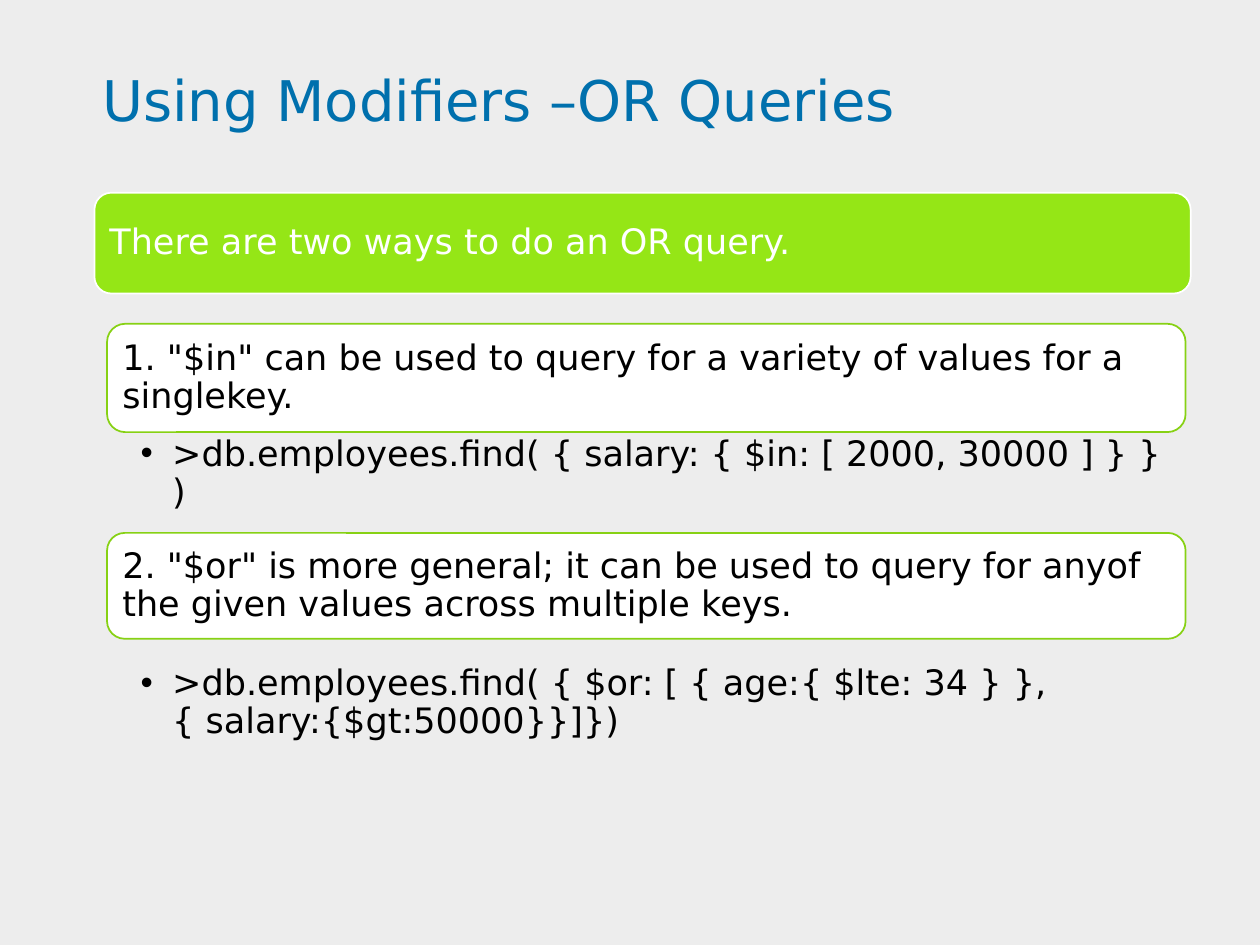
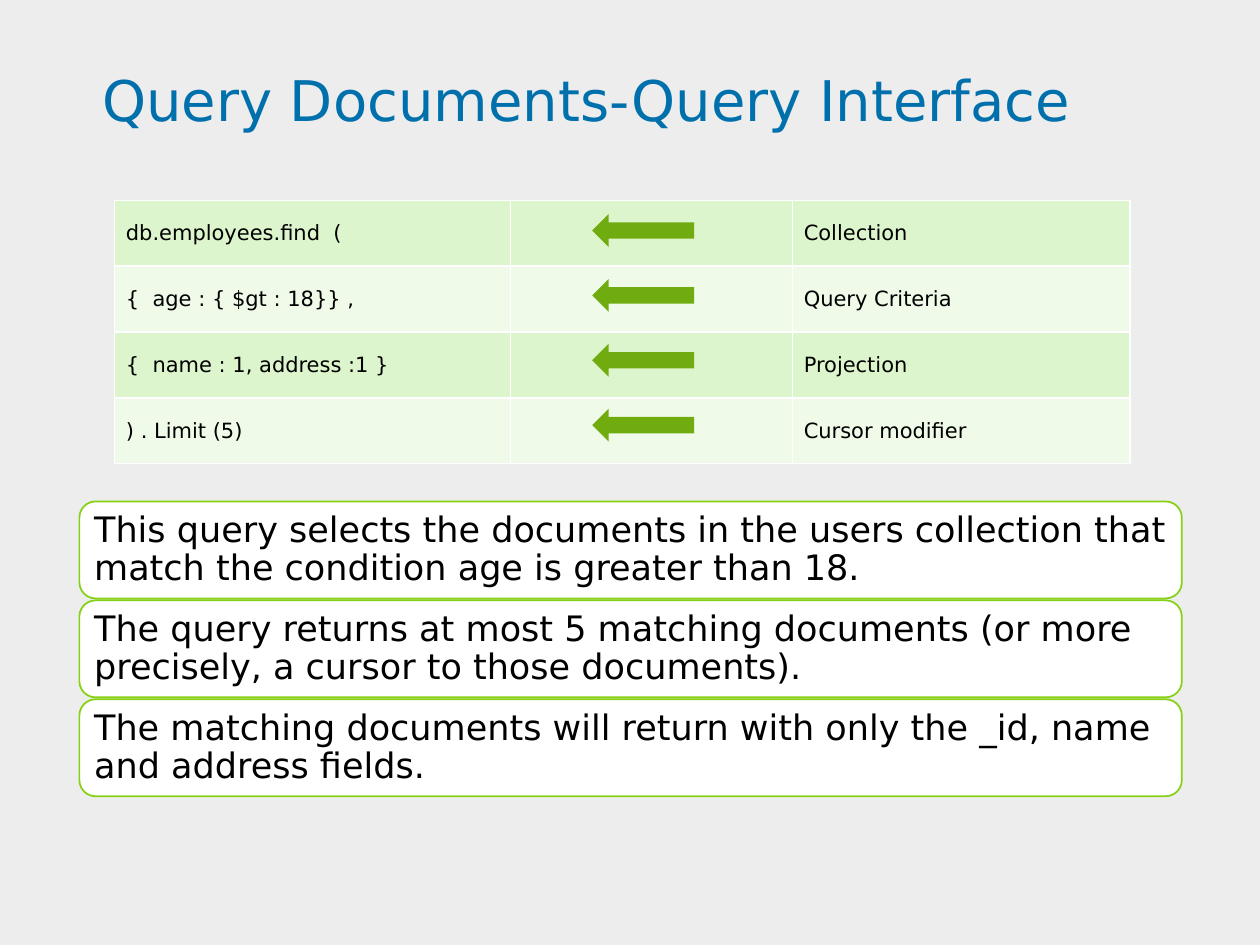
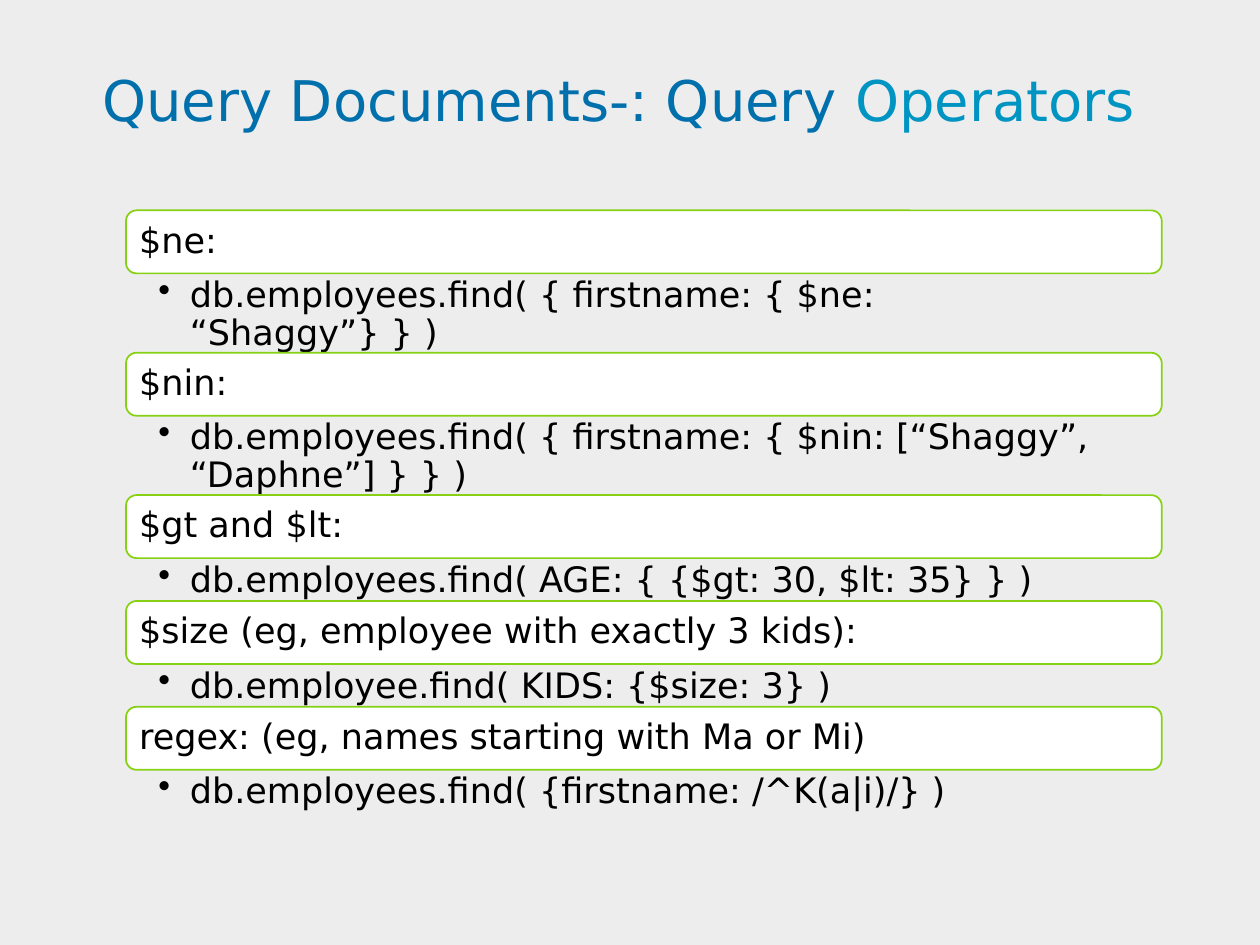
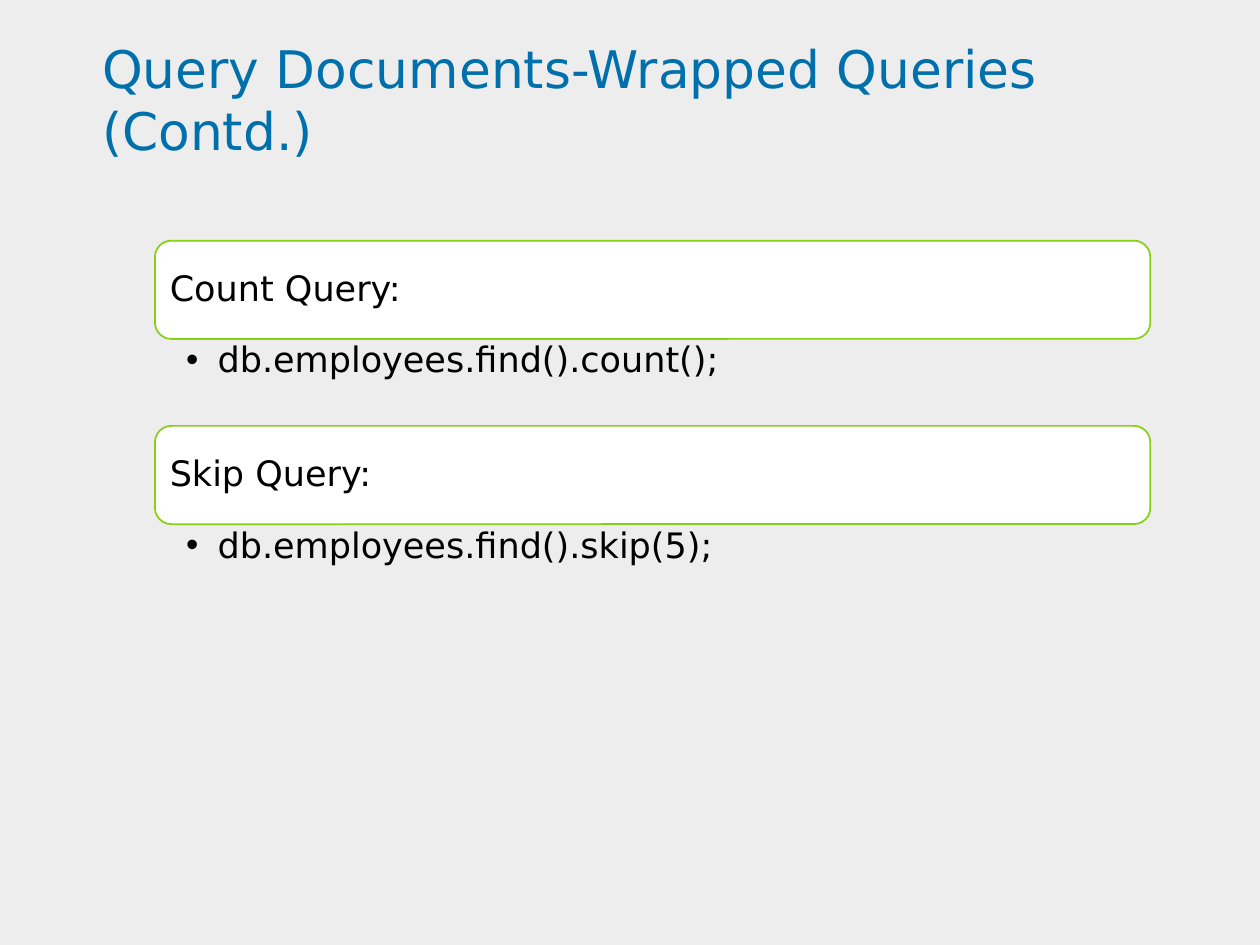
from dataclasses import dataclass

from lxml import etree
from pptx import Presentation
from pptx import util as u
from pptx.dml.color import RGBColor
from pptx.enum import shapes, text
from pptx.oxml import ns

SLIDE_WIDTH, SLIDE_HEIGHT = u.Inches(10), u.Inches(7.5)
COLUMNS, ROWS = 100, 75
TITLE_ONLY, TWO_CONTENT = 5, 3


@dataclass(frozen=True)
class Theme:
    font: str = "DejaVu Sans"
    background: str = "EDEDED"
    title: str = "0070AD"
    title_accent: str = "0094C3"
    ink: str = "000000"
    white: str = "FFFFFF"
    banner: str = "95E616"
    outline: str = "87D114"
    arrow: str = "70AC10"
    bands: tuple = ("DDF5CC", "EFFAE8")
    title_size: float = 32
    small_title_size: float = 29.6
    body_size: float = 20
    table_size: float = 12
    line_width: float = 1
    line_spacing: float = 0.9
    bullet_indent: float = 0.25
    list_inset: float = 0.03


THEME = Theme()


@dataclass(frozen=True)
class Box:
    column: float
    row: float
    width: float
    height: float

    def inner(self, column, row, width, height):
        return Box(self.column + column, self.row + row, width, height)

    def placement(self):
        return {
            "left": round(self.column * SLIDE_WIDTH / COLUMNS),
            "top": round(self.row * SLIDE_HEIGHT / ROWS),
            "width": round(self.width * SLIDE_WIDTH / COLUMNS),
            "height": round(self.height * SLIDE_HEIGHT / ROWS),
        }


TITLE_BOX = Box(5.1, 2.9, 90, 9.9)


def apply(target, values):
    for name, value in values.items():
        setattr(target, name, value)


def paint(fill, color):
    fill.solid()
    fill.fore_color.rgb = RGBColor.from_string(color)


def format_frame(frame, margins, anchor):
    sides = ("margin_left", "margin_top", "margin_right", "margin_bottom")
    apply(frame, dict(zip(sides, map(u.Inches, margins))))
    apply(frame, {
        "word_wrap": True,
        "auto_size": text.MSO_AUTO_SIZE.NONE,
        "vertical_anchor": anchor,
    })


def format_run(run, size, color):
    apply(run.font, {"name": THEME.font, "size": u.Pt(size)})
    run.font.color.rgb = RGBColor.from_string(color)


def write(paragraph, words, size, color, spacing=THEME.line_spacing):
    paragraph.text = words
    apply(paragraph, {
        "alignment": text.PP_ALIGN.LEFT,
        "line_spacing": spacing,
        "space_before": u.Pt(0),
    })
    for run in paragraph.runs:
        format_run(run, size, color)


def add_titled_slide(presentation, layout, title, accent="", size=THEME.title_size):
    slide = presentation.slides.add_slide(presentation.slide_layouts[layout])
    shape = slide.shapes.title
    apply(shape, TITLE_BOX.placement())
    format_frame(shape.text_frame, (0.3, 0.03, 0.17, 0.03), text.MSO_ANCHOR.MIDDLE)
    paragraph = shape.text_frame.paragraphs[0]
    write(paragraph, title, size, THEME.title, 1.0)
    if accent:
        run = paragraph.add_run()
        run.text = accent
        format_run(run, size, THEME.title_accent)
    return slide


def add_preset(slide, kind, box, color):
    shape = slide.shapes.add_shape(kind, **box.placement())
    shape.shadow.inherit = False
    paint(shape.fill, color)
    shape.line.fill.background()
    return shape


def add_card(slide, box, words, fill=THEME.white, outline=THEME.outline, ink=THEME.ink):
    card = add_preset(slide, shapes.MSO_SHAPE.ROUNDED_RECTANGLE, box, fill)
    paint(card.line.fill, outline)
    card.line.width = u.Pt(THEME.line_width)
    format_frame(card.text_frame, (0.08,) * 4, text.MSO_ANCHOR.MIDDLE)
    write(card.text_frame.paragraphs[0], words, THEME.body_size, ink)


def add_bullet(paragraph):
    properties = paragraph._p.get_or_add_pPr()
    indent = u.Inches(THEME.bullet_indent)
    properties.set("marL", str(indent))
    properties.set("indent", str(-indent))
    etree.SubElement(properties, ns.qn("a:buChar")).set("char", "•")


def add_query(slide, box, query, bodies):
    shape = next(bodies, None) or slide.shapes.add_textbox(0, 0, 0, 0)
    placement = box.placement()
    apply(shape, placement)
    inset = u.Emu(placement["width"]).inches * THEME.list_inset + 0.01
    format_frame(shape.text_frame, (inset, 0.03, 0.16, 0.03), text.MSO_ANCHOR.TOP)
    paragraph = shape.text_frame.paragraphs[0]
    paragraph.level = 1
    add_bullet(paragraph)
    write(paragraph, query, THEME.body_size, THEME.ink)


def add_section(slide, box, heading, query, card_height, bodies, gap=0):
    add_card(slide, box.inner(0, 0, box.width, card_height), heading)
    list_row = card_height + gap
    list_box = box.inner(0, list_row, box.width, box.height - list_row)
    add_query(slide, list_box, query, bodies)


def list_placeholders(slide):
    return iter(list(slide.placeholders)[1:])


def add_cell_borders(cell):
    properties = cell._tc.get_or_add_tcPr()
    for position, side in enumerate(("lnL", "lnR", "lnT", "lnB")):
        line = etree.Element(ns.qn(f"a:{side}"), w=str(u.Pt(THEME.line_width)))
        solid = etree.SubElement(line, ns.qn("a:solidFill"))
        etree.SubElement(solid, ns.qn("a:srgbClr"), val=THEME.white)
        properties.insert(position, line)


def add_query_table(slide, box, rows, column_widths):
    frame = slide.shapes.add_table(len(rows), len(column_widths), **box.placement())
    table = frame.table
    apply(table, {"first_row": False, "horz_banding": False})
    for column, width in zip(table.columns, column_widths):
        column.width = round(width * SLIDE_WIDTH / COLUMNS)
    for row_index, row in enumerate(rows):
        for column_index, words in enumerate(row):
            cell = table.cell(row_index, column_index)
            paint(cell.fill, THEME.bands[row_index % 2])
            add_cell_borders(cell)
            apply(cell, {
                "margin_left": u.Inches(0.09),
                "margin_right": u.Inches(0.09),
                "vertical_anchor": text.MSO_ANCHOR.MIDDLE,
            })
            if words:
                write(cell.text_frame.paragraphs[0], words, THEME.table_size, THEME.ink, 1.0)


def add_arrow_column(slide, box, count, step):
    for index in range(count):
        arrow_box = box.inner(0, index * step, box.width, box.height)
        add_preset(slide, shapes.MSO_SHAPE.LEFT_ARROW, arrow_box, THEME.arrow)


def build_or_queries(presentation):
    slide = add_titled_slide(presentation, TWO_CONTENT, "Using Modifiers –OR Queries")
    bodies = list_placeholders(slide)
    add_section(
        slide, Box(8.5, 25.7, 85.6, 18.4),
        '1. "$in" can be used to query for a variety of values for a singlekey.',
        ">db.employees.find( { salary: { $in: [ 2000, 30000 ] } } )",
        8.6, bodies)
    add_section(
        slide, Box(8.5, 42.3, 85.6, 20),
        '2. "$or" is more general; it can be used to query for anyof '
        "the given values across multiple keys.",
        ">db.employees.find( { $or: [ { age:{ $lte: 34 } }, \v{ salary:{$gt:50000}}]})",
        8.4, bodies, gap=1.8)
    add_card(slide, Box(7.5, 15.3, 87, 8), "There are two ways to do an OR query.",
             THEME.banner, THEME.white, THEME.white)


def build_query_interface(presentation):
    slide = add_titled_slide(presentation, TITLE_ONLY, "Query Documents-Query Interface")
    notes = (
        "This query selects the documents in the users collection "
        "that match the condition age is greater than 18.",
        "The query returns at most 5 matching documents (or more "
        "precisely, a cursor to those documents).",
        "The matching documents will return with only the _id, name and address fields.",
    )
    first_card = Box(6.3, 39.8, 87.5, 7.7)
    for index, words in enumerate(notes):
        add_card(slide, first_card.inner(0, index * 7.85, 87.5, 7.7), words)
    rows = (
        ("db.employees.find  (", "", "Collection"),
        ("{  age : { $gt : 18}} ,", "", "Query Criteria"),
        ("{  name : 1, address :1 }", "", "Projection"),
        (") . Limit (5)", "", "Cursor modifier"),
    )
    table_box = Box(9.1, 15.9, 80.6, 20.9)
    add_query_table(slide, table_box, rows, (31.4, 22.4, 26.8))
    add_arrow_column(slide, table_box.inner(37.9, 1.1, 8.1, 2.6), len(rows), 5.15)


def build_query_operators(presentation):
    slide = add_titled_slide(presentation, TITLE_ONLY, "Query Documents-: Query ", "Operators")
    sections = (
        ("$ne:", "db.employees.find( { firstname: { $ne: \v“Shaggy”} } )", 11.3),
        ("$nin:", "db.employees.find( { firstname: { $nin: [“Shaggy”, “Daphne”] } } )", 11.3),
        ("$gt and $lt:", "db.employees.find( AGE: { {$gt: 30, $lt: 35} } )", 8.4),
        ("$size (eg, employee with exactly 3 kids):", "db.employee.find( KIDS: {$size: 3} )", 8.4),
        ("regex: (eg, names starting with Ma or Mi)",
         "db.employees.find( {firstname: /^K(a|i)/} )", 8.4),
    )
    bodies = list_placeholders(slide)
    row = 16.7
    for heading, query, height in sections:
        add_section(slide, Box(10, row, 82.2, height), heading, query, 5, bodies)
        row += height


def build_wrapped_queries(presentation):
    slide = add_titled_slide(presentation, TWO_CONTENT, "Query Documents-Wrapped Queries (Contd.)",
                             size=THEME.small_title_size)
    sections = (
        ("Count Query:", "db.employees.find().count();"),
        ("Skip Query:", "db.employees.find().skip(5);"),
    )
    bodies = list_placeholders(slide)
    first_section = Box(12.3, 19.1, 79, 14.7)
    for index, (heading, query) in enumerate(sections):
        section_box = first_section.inner(0, index * 14.7, 79, 14.7)
        add_section(slide, section_box, heading, query, 7.8, bodies)


def main():
    presentation = Presentation()
    apply(presentation, {"slide_width": SLIDE_WIDTH, "slide_height": SLIDE_HEIGHT})
    paint(presentation.slide_master.background.fill, THEME.background)
    for build in (build_or_queries, build_query_interface,
                  build_query_operators, build_wrapped_queries):
        build(presentation)
    presentation.save("out.pptx")


if __name__ == "__main__":
    main()
